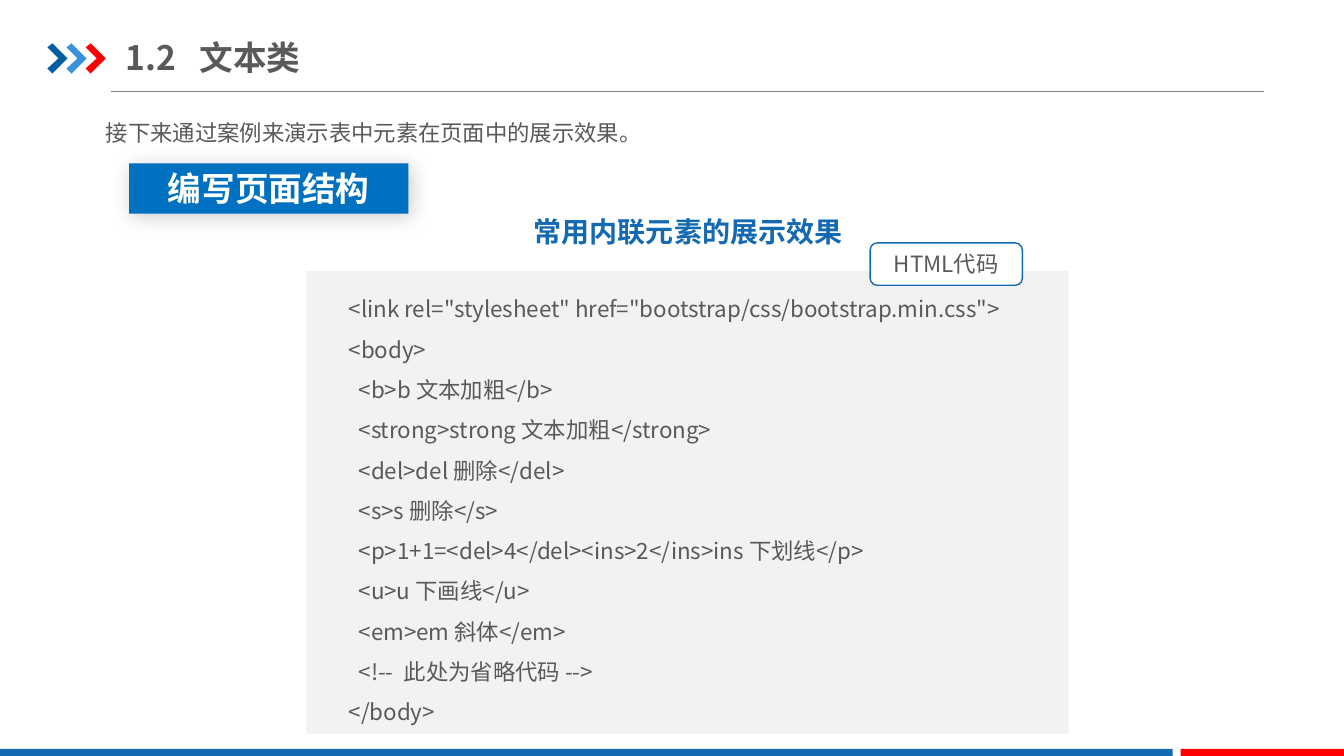
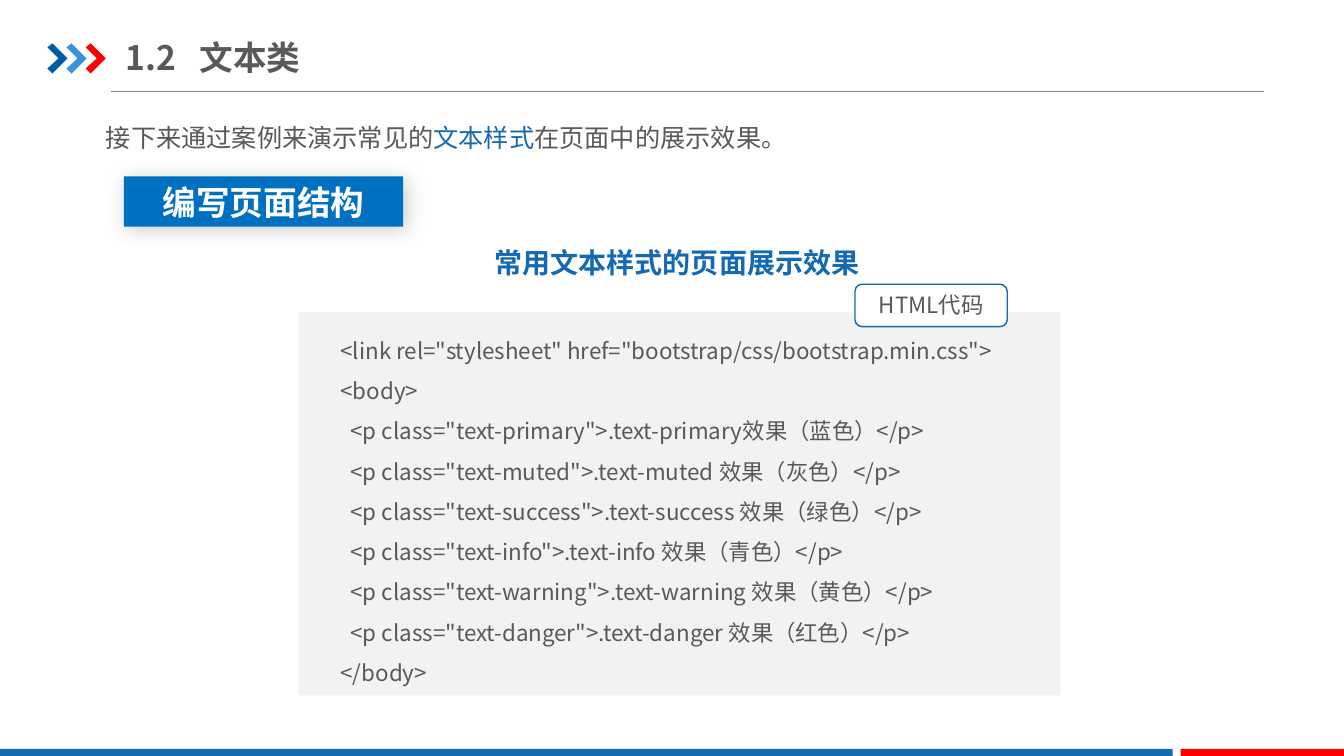
from lxml.etree import SubElement
from pptx import Presentation
from pptx.dml.color import RGBColor
from pptx.enum.shapes import MSO_CONNECTOR, MSO_SHAPE
from pptx.enum.text import MSO_ANCHOR, PP_ALIGN
from pptx.oxml.ns import qn
from pptx.util import Inches, Pt

BLUE = RGBColor(0x13, 0x69, 0xB2)
NAVY = RGBColor(0x00, 0x5D, 0xA2)
SKY = RGBColor(0x39, 0x92, 0xDB)
AZURE = RGBColor(0x00, 0x70, 0xC0)
RED = RGBColor(0xFF, 0x00, 0x00)
GRAY = RGBColor(0x80, 0x80, 0x80)
INK = RGBColor(0x59, 0x59, 0x59)
PALE = RGBColor(0xF2, 0xF2, 0xF2)
WHITE = RGBColor(0xFF, 0xFF, 0xFF)
FONT = "Noto Sans CJK SC"


def write(shape, lines, size=16, color=INK, bold=False, font=FONT,
          align=PP_ALIGN.LEFT, space=1.0, anchor=MSO_ANCHOR.TOP,
          pad=(0.1, 0.05), tab=None):
    """Fill a shape; a line is a string or a list of (text, color) runs."""
    frame = shape.text_frame
    frame.word_wrap = True
    frame.vertical_anchor = anchor
    frame.margin_left = frame.margin_right = Inches(pad[0])
    frame.margin_top = frame.margin_bottom = Inches(pad[1])
    for i, line in enumerate(lines):
        para = frame.add_paragraph() if i else frame.paragraphs[0]
        para.alignment = align
        para.line_spacing = space
        if tab:
            stops = SubElement(para._p.get_or_add_pPr(), qn("a:tabLst"))
            SubElement(stops, qn("a:tab"), pos=str(Inches(tab)), algn="l")
        for text, tint in [(line, color)] if isinstance(line, str) else line:
            run = para.add_run()
            run.text = text
            run.font.size = Pt(size)
            run.font.bold = bold
            run.font.color.rgb = tint
            run.font.name = font
            SubElement(run._r.get_or_add_rPr(), qn("a:ea"), typeface=FONT)


class Deck:
    def __init__(self):
        self.prs = Presentation()
        self.prs.slide_width = Inches(13.33)
        self.prs.slide_height = Inches(7.5)
        self.slide = None

    def page(self, title):
        """Start a slide with the shared header and footer."""
        self.slide = self.prs.slides.add_slide(self.prs.slide_layouts[6])
        self.rule(1.1, 12.54, 0.91)
        for i, color in enumerate((NAVY, SKY, RED)):
            self.arrow(0.47 + 0.19 * i, 0.43, color)
        self.box(0, 7.43, 11.63, 0.09, BLUE)
        self.box(11.71, 7.43, 1.62, 0.09, RED)
        self.text(1.25, 0.29, 4.26, 0.55, [title], size=24, bold=True,
                  anchor=MSO_ANCHOR.MIDDLE, pad=(0, 0.07), tab=0.73)

    def rule(self, left, right, top):
        line = self.slide.shapes.add_connector(
            MSO_CONNECTOR.STRAIGHT, Inches(left), Inches(top),
            Inches(right), Inches(top))
        line.line.color.rgb = GRAY
        line.line.width = Pt(0.75)
        SubElement(line._element.spPr, qn("a:effectLst"))

    def arrow(self, left, top, color):
        dots = [(Inches(left + x), Inches(top + y)) for x, y in (
            (0, 0.04), (0.05, 0), (0.2, 0.15),
            (0.05, 0.3), (0, 0.25), (0.11, 0.15))]
        pen = self.slide.shapes.build_freeform(*dots[0])
        pen.add_line_segments(dots[1:], close=True)
        self.paint(pen.convert_to_shape(), color)

    def paint(self, shape, fill, line=None):
        shape.shadow.inherit = False
        shape.fill.solid()
        shape.fill.fore_color.rgb = fill
        if line:
            shape.line.color.rgb = line
            shape.line.width = Pt(1)
        else:
            shape.line.fill.background()

    def box(self, left, top, width, height, fill, line=None,
            kind=MSO_SHAPE.RECTANGLE):
        shape = self.slide.shapes.add_shape(
            kind, Inches(left), Inches(top), Inches(width), Inches(height))
        self.paint(shape, fill, line)
        return shape

    def text(self, left, top, width, height, lines, **style):
        shape = self.slide.shapes.add_textbox(
            Inches(left), Inches(top), Inches(width), Inches(height))
        write(shape, lines, **style)

    def intro(self, top, height, line, size):
        self.text(0.92, top, 11.42, height, [line], size=size, space=1.5,
                  align=PP_ALIGN.JUSTIFY, pad=(0.13, 0.07))

    def step(self, left, top, label):
        """Draw a solid label with a soft shadow."""
        shape = self.box(left, top, 2.77, 0.5, AZURE)
        effects = shape._element.spPr.find(qn("a:effectLst"))
        shade = SubElement(effects, qn("a:outerShdw"), blurRad=str(Pt(15)),
                           dist=str(Pt(3)), dir="2700000", algn="tl",
                           rotWithShape="0")
        black = SubElement(shade, qn("a:srgbClr"), val="000000")
        SubElement(black, qn("a:alpha"), val="20000")
        write(shape, [label], size=24, color=WHITE, bold=True, font="Arial",
              align=PP_ALIGN.CENTER, anchor=MSO_ANCHOR.MIDDLE)

    def head(self, left, top, label):
        self.text(left, top, 5.77, 0.55, [label], size=20, color=BLUE,
                  bold=True, align=PP_ALIGN.CENTER, space=1.5)

    def code(self, left, top, height, tag, body):
        """Draw a code panel whose tag starts at the x given."""
        lines = ['<link rel="stylesheet" href="bootstrap/css/bootstrap.min.css">',
                 "<body>", *("  " + row for row in body), "</body>"]
        self.box(left, top, 7.56, height, PALE)
        self.text(left + 0.32, top + 0.06, 7.13, height - 0.06, lines,
                  space=1.5)
        label = self.box(tag, top - 0.28, 1.51, 0.42, WHITE, BLUE,
                         MSO_SHAPE.ROUNDED_RECTANGLE)
        write(label, ["HTML代码"], align=PP_ALIGN.CENTER)


def main():
    deck = Deck()
    title = "1.2\t文本类"
    step = "编写页面结构"

    deck.page(title)
    deck.code(3.04, 2.69, 4.59, 8.63, [
        "<b>b 文本加粗</b>",
        "<strong>strong 文本加粗</strong>",
        "<del>del 删除</del>",
        "<s>s 删除</s>",
        "<p>1+1=<del>4</del><ins>2</ins>ins 下划线</p>",
        "<u>u 下画线</u>",
        "<em>em 斜体</em>",
        "<!--  此处为省略代码 -->",
    ])
    deck.head(3.94, 1.91, "常用内联元素的展示效果")
    deck.intro(0.98, 0.49, "接下来通过案例来演示表中元素在页面中的展示效果。", 16)
    deck.step(1.28, 1.62, step)

    deck.page(title)
    deck.code(2.96, 3.1, 3.8, 8.48, [
        f'<p class="text-{name}">.text-{name}{gap}效果（{hue}）</p>'
        for name, gap, hue in (
            ("primary", "", "蓝色"), ("muted", " ", "灰色"),
            ("success", " ", "绿色"), ("info", " ", "青色"),
            ("warning", " ", "黄色"), ("danger", " ", "红色"))
    ])
    deck.head(3.83, 2.22, "常用文本样式的页面展示效果")
    deck.intro(0.99, 0.54, [("接下来通过案例来演示常见的", INK),
                            ("文本样式", BLUE),
                            ("在页面中的展示效果。", INK)], 18)
    deck.step(1.23, 1.75, step)

    deck.prs.save("out.pptx")


if __name__ == "__main__":
    main()
